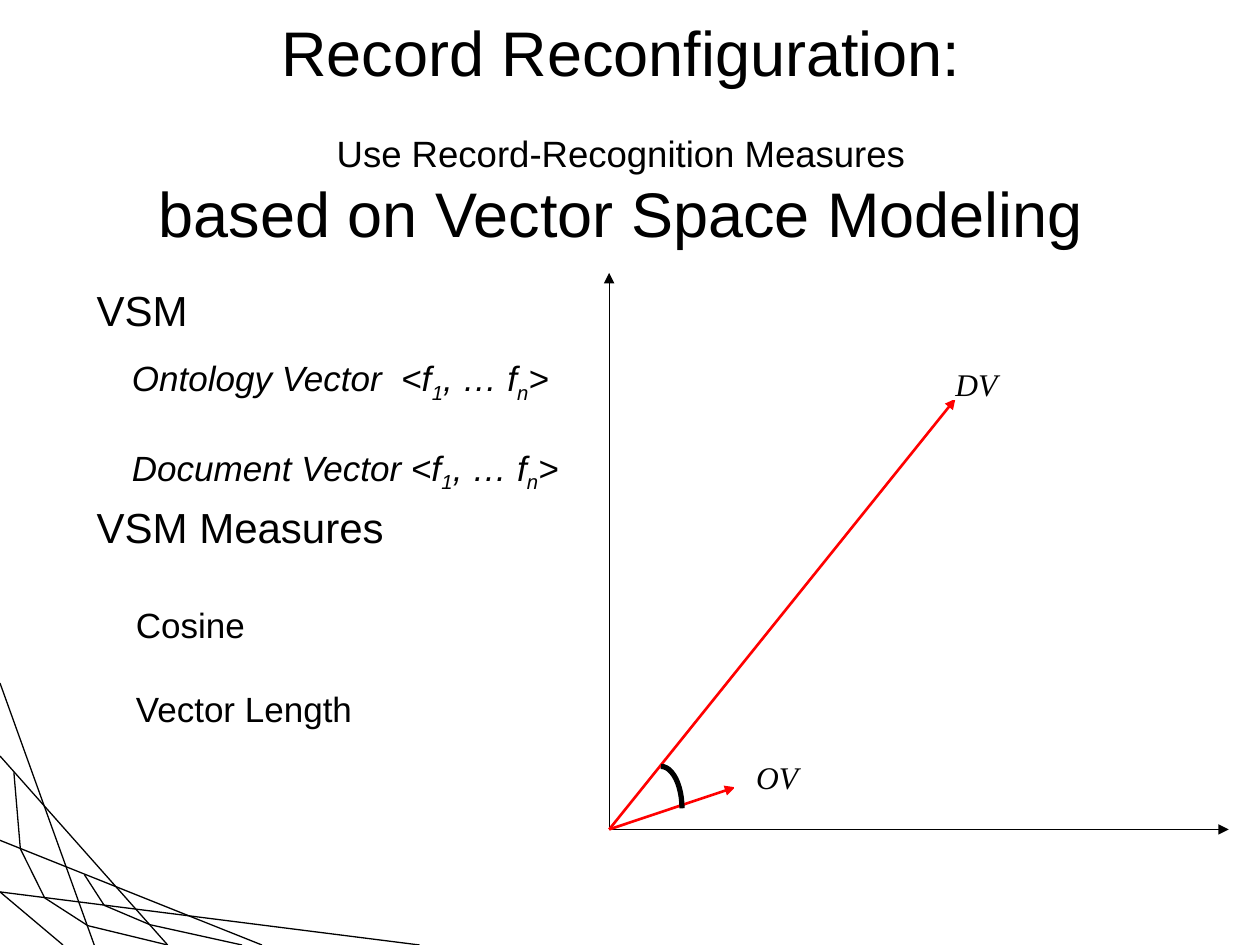
from dataclasses import dataclass
from itertools import pairwise

import pptx
import pptx.dml.color
import pptx.enum.shapes
import pptx.enum.text
import pptx.oxml.ns
import pptx.util
from lxml import etree

Cm, Pt = pptx.util.Cm, pptx.util.Pt
Shape = pptx.enum.shapes.MSO_SHAPE
Align = pptx.enum.text.PP_ALIGN
Anchor = pptx.enum.text.MSO_ANCHOR
qn = pptx.oxml.ns.qn

BLACK, WHITE, RED = "000000", "FFFFFF", "FF0000"
WIDE, HIGH = 25.4, 19.05


@dataclass
class Box:
    left: float
    top: float
    width: float
    height: float

    def place(self) -> tuple:
        return tuple(map(Cm, (self.left, self.top, self.width, self.height)))


@dataclass
class Line:
    start: tuple
    end: tuple
    color: str = BLACK
    width: float = 0.75
    arrow: bool = False


@dataclass
class Label:
    text: str
    box: Box
    width: float


@dataclass
class Block:
    lines: list
    box: Box
    size: float
    gap: float = 0
    first: float = 0
    pitch: float = 1
    italic: bool = False
    wrap: bool = False


def rgb(code: str) -> pptx.dml.color.RGBColor:
    return pptx.dml.color.RGBColor.from_string(code)


def style(font, size: float, name: str = "Arial", italic: bool = False) -> None:
    font.name, font.size, font.italic = name, Pt(size), italic
    font.color.rgb = rgb(BLACK)


def draw_line(slide, line: Line) -> None:
    ends = map(Cm, (*line.start, *line.end))
    kind = pptx.enum.shapes.MSO_CONNECTOR.STRAIGHT
    item = slide.shapes.add_connector(kind, *ends)
    item.line.color.rgb = rgb(line.color)
    item.line.width = Pt(line.width)
    if line.arrow:
        tail = etree.SubElement(item.line._get_or_add_ln(), qn("a:tailEnd"))
        tail.set("type", "triangle")
    etree.SubElement(item._element.spPr, qn("a:effectLst"))


def draw_label(slide, label: Label) -> None:
    item = slide.shapes.add_shape(Shape.RECTANGLE, *label.box.place())
    item.shadow.inherit = False
    item.fill.solid()
    item.fill.fore_color.rgb = rgb(WHITE)
    item.line.color.rgb = rgb(WHITE)
    item.line.width = Pt(label.width)
    frame = item.text_frame
    frame.word_wrap = False
    frame.vertical_anchor = Anchor.MIDDLE
    frame.text = label.text
    para = frame.paragraphs[0]
    para.alignment = Align.CENTER
    style(para.runs[0].font, 18, "Times New Roman", True)


def draw_block(slide, block: Block):
    """Each line is a list of parts; every second part is a subscript."""
    frame = slide.shapes.add_textbox(*block.box.place()).text_frame
    frame.word_wrap = block.wrap
    for index, parts in enumerate(block.lines):
        para = frame.add_paragraph() if index else frame.paragraphs[0]
        para.text = parts[0]
        for part in parts[1:]:
            para.add_run().text = part
        para.space_before = Pt(block.gap if index else block.first)
        para.line_spacing = block.pitch
        for spot, run in enumerate(para.runs):
            style(run.font, block.size, italic=block.italic)
            if spot % 2:
                run._r.get_or_add_rPr().set("baseline", "-25000")
    return frame


# Corner web: straight rays and two bent threads
RAYS = [
    ((0, 13.77), (1.9, HIGH)),
    ((0, 15.24), (3.38, HIGH)),
    ((0, 16.94), (5.28, HIGH)),
    ((0, 17.98), (8.46, HIGH)),
    ((0, 17.98), (1.27, HIGH)),
]
THREADS = [
    [(0.28, 15.57), (0.41, 17.11), (0.9, 18.1), (1.77, 18.66), (3.38, HIGH)],
    [(1.7, 17.63), (2.1, 18.25), (3.02, 18.64), (4.88, HIGH)],
]

# Axes and vectors share one origin
ORIGIN = (12.28, 16.72)
ARROWS = [
    Line(ORIGIN, (12.28, 5.5), arrow=True),
    Line(ORIGIN, (24.77, 16.72), arrow=True),
    Line(ORIGIN, (19.26, 8.04), RED, 1.5, True),
    Line(ORIGIN, (14.82, 15.87), RED, 1.5, True),
]
LABELS = [
    Label("DV", Box(19.05, 7.41, 1.27, 0.64), 0.75),
    Label("OV", Box(14.82, 15.24, 1.69, 0.85), 1.5),
]

# Text
TITLE = ("Record Reconfiguration:\vUse Record-Recognition Measures\v"
         "based on Vector Space Modeling")
TERMS = ["1", ", … f", "n", ">"]
BLOCKS = [
    Block([["VSM"], ["VSM Measures"]], Box(1.7, 5.72, 8.69, 5.92),
          24, gap=98.4, first=6, pitch=0.9, wrap=True),
    Block([["Ontology Vector  <f", *TERMS], ["Document Vector <f", *TERMS]],
          Box(2.41, 7.06, 9.12, 3.02), 20, gap=24, italic=True),
    Block([["Cosine"], ["Vector Length"]], Box(2.49, 12.04, 4.9, 2.79),
          20, gap=24),
]


def main() -> None:
    deck = pptx.Presentation()
    deck.slide_width, deck.slide_height = Cm(WIDE), Cm(HIGH)
    slide = deck.slides.add_slide(deck.slide_layouts[6])

    # Web
    for start, end in RAYS + [pair for thread in THREADS for pair in pairwise(thread)]:
        draw_line(slide, Line(start, end))

    # Title
    head = Block([[TITLE]], Box(1.7, 1.07, 21.64, 3.18), 36, wrap=True)
    frame = draw_block(slide, head)
    frame.vertical_anchor = Anchor.MIDDLE
    frame.paragraphs[0].alignment = Align.CENTER

    # Diagram
    for arrow in ARROWS:
        draw_line(slide, arrow)
    for label in LABELS:
        draw_label(slide, label)
    arc = slide.shapes.add_shape(Shape.ARC, *Box(12.9, 15.45, 0.85, 1.69).place())
    arc.shadow.inherit = False
    arc.fill.background()
    arc.line.color.rgb = rgb(BLACK)
    arc.line.width = Pt(3)

    # Lists
    for block in BLOCKS:
        draw_block(slide, block)

    deck.save("out.pptx")


if __name__ == "__main__":
    main()
